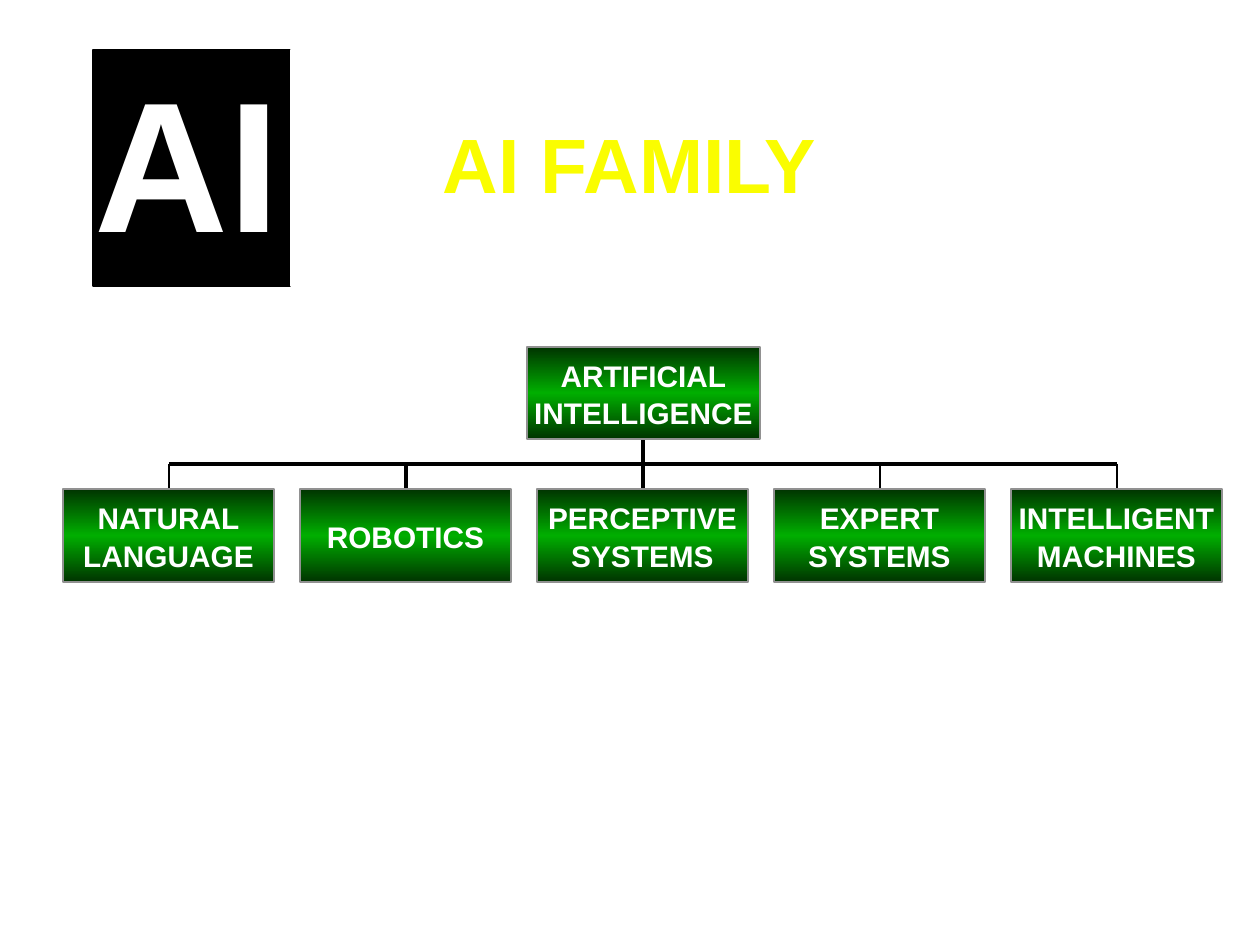
import copy
from dataclasses import dataclass

import pptx
import pptx.dml.color
import pptx.enum.shapes
import pptx.enum.text
import pptx.oxml.ns
import pptx.oxml.xmlchemy
import pptx.util
from pptx.enum.text import MSO_ANCHOR, MSO_AUTO_SIZE, PP_ALIGN

PX = 914400 // 126
FONT = "Arial"
BRANCH_STEP = 237
BRANCH_LEFT = 63
BRANCH_TOP = 489
BUS_LEFT = 169
BUS_TOP = 464


@dataclass
class Branch:
    lines: list[str]
    stem_width: float


BRANCHES = [
    Branch(["NATURAL", "LANGUAGE"], 1),
    Branch(["ROBOTICS"], 2.5),
    Branch(["PERCEPTIVE", "SYSTEMS"], 2),
    Branch(["EXPERT", "SYSTEMS"], 1),
    Branch(["INTELLIGENT", "MACHINES"], 1),
]


def px(*lengths: int) -> list[int]:
    return [length * PX for length in lengths]


def color(value: str) -> pptx.dml.color.RGBColor:
    return pptx.dml.color.RGBColor.from_string(value)


def add_span(para, text: str, size: float, shade: str) -> None:
    span = para.add_run()
    span.text = text
    span.font.name = FONT
    span.font.size = pptx.util.Pt(size)
    span.font.bold = True
    span.font.color.rgb = color(shade)


def add_line(page, start: tuple[int, int], end: tuple[int, int], width: float) -> None:
    line = page.shapes.add_connector(
        pptx.enum.shapes.MSO_CONNECTOR.STRAIGHT, *px(*start, *end))
    line.line.color.rgb = color("000000")
    line.line.width = pptx.util.Pt(width)
    properties = line._element.spPr
    properties.append(pptx.oxml.xmlchemy.OxmlElement("a:effectLst"))


def add_box(page, place: tuple[int, int, int, int], outline: str):
    box = page.shapes.add_shape(
        pptx.enum.shapes.MSO_SHAPE.RECTANGLE, *px(*place))
    box.shadow.inherit = False
    box.line.color.rgb = color(outline)
    box.line.width = pptx.util.Pt(1)
    return box


def add_plain_box(page, place: tuple[int, int, int, int], shade: str) -> None:
    box = add_box(page, place, shade)
    box.fill.solid()
    box.fill.fore_color.rgb = color(shade)


def fill_green(box) -> None:
    box.fill.gradient()
    box.fill.gradient_angle = 90
    stops = box._element.spPr.find(
        pptx.oxml.ns.qn("a:gradFill")).find(pptx.oxml.ns.qn("a:gsLst"))
    stops.insert(1, copy.deepcopy(stops[0]))
    shades = ["003400", "00AE00", "003400"]
    for index, (stop, shade) in enumerate(zip(box.fill.gradient_stops, shades)):
        stop.position = index / 2
        stop.color.rgb = color(shade)


def add_card(page, place: tuple[int, int, int, int], lines: list[str]) -> None:
    card = add_box(page, place, "919191")
    fill_green(card)
    frame = card.text_frame
    frame.word_wrap = False
    frame.vertical_anchor = MSO_ANCHOR.MIDDLE
    for index, text in enumerate(lines):
        para = frame.add_paragraph() if index else frame.paragraphs[0]
        para.alignment = PP_ALIGN.CENTER
        para.line_spacing = pptx.util.Pt(21.5)
        add_span(para, text, 17, "FFFFFF")


def add_title(page) -> None:
    title = page.shapes.title
    title.left, title.top, title.width, title.height = px(94, 84, 1071, 158)
    frame = title.text_frame
    frame.word_wrap = True
    frame.vertical_anchor = MSO_ANCHOR.MIDDLE
    para = frame.paragraphs[0]
    para.alignment = PP_ALIGN.CENTER
    add_span(para, "AI FAMILY", 44, "FAFD00")


def add_tree(page) -> None:
    for index, branch in enumerate(BRANCHES):
        center = BUS_LEFT + index * BRANCH_STEP
        add_line(page, (center, BUS_TOP), (center, BRANCH_TOP), branch.stem_width)
        if index:
            add_line(page, (center - BRANCH_STEP, BUS_TOP), (center, BUS_TOP), 2.5)
    trunk = BUS_LEFT + len(BRANCHES) // 2 * BRANCH_STEP
    add_line(page, (trunk, 440), (trunk, BRANCH_TOP), 2)
    for index, branch in enumerate(BRANCHES):
        left = BRANCH_LEFT + index * BRANCH_STEP
        add_card(page, (left, BRANCH_TOP, 211, 93), branch.lines)
    add_card(page, (527, 347, 233, 92), ["ARTIFICIAL", "INTELLIGENCE"])


def add_emblem(page) -> None:
    add_plain_box(page, (93, 50, 200, 236), "000000")
    add_plain_box(page, (291, 50, 59, 236), "FFFFFF")
    label = page.shapes.add_textbox(*px(95, 47, 187, 223))
    frame = label.text_frame
    frame.word_wrap = False
    frame.auto_size = MSO_AUTO_SIZE.SHAPE_TO_FIT_TEXT
    frame.margin_left = frame.margin_right = 0
    frame.margin_top = frame.margin_bottom = 0
    add_span(frame.paragraphs[0], "AI", 106, "FFFFFF")


def main() -> None:
    deck = pptx.Presentation()
    deck.slide_width, deck.slide_height = px(1260, 945)
    page = deck.slides.add_slide(deck.slide_layouts[5])
    add_title(page)
    add_tree(page)
    add_emblem(page)
    deck.save("out.pptx")


if __name__ == "__main__":
    main()
